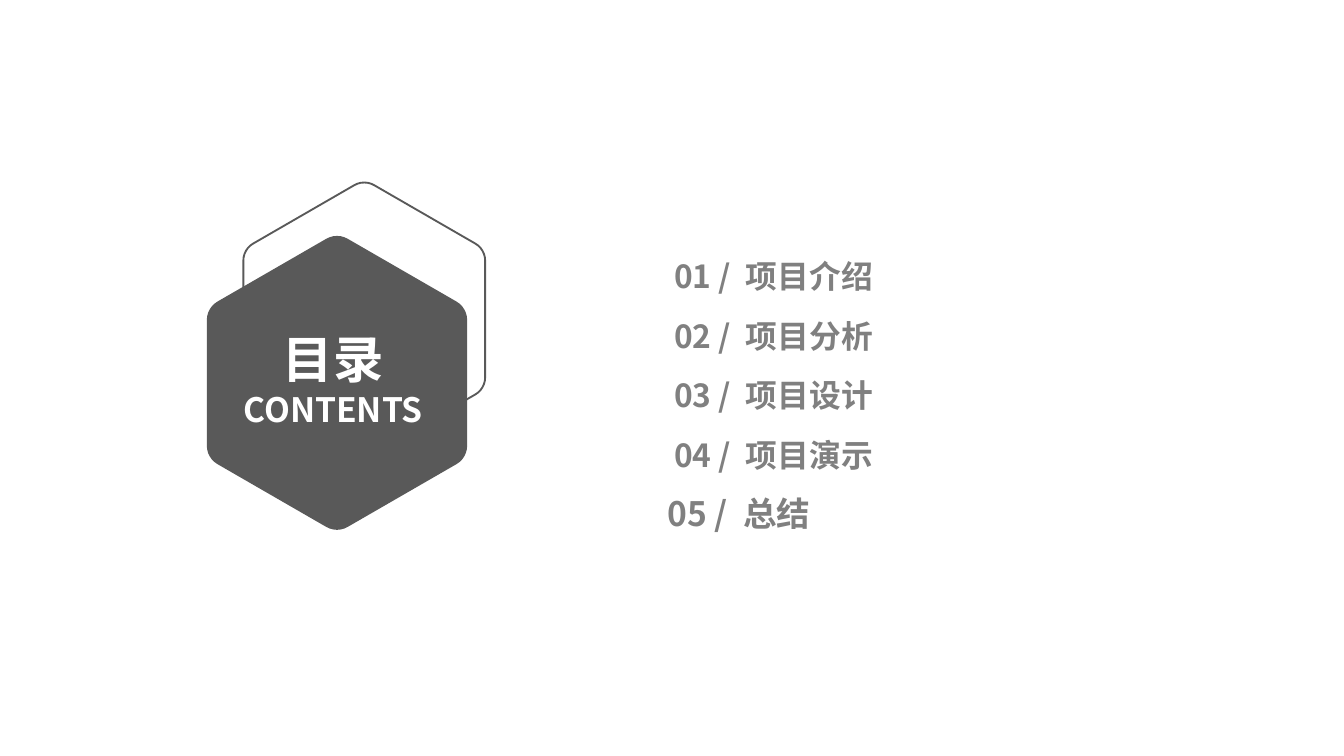
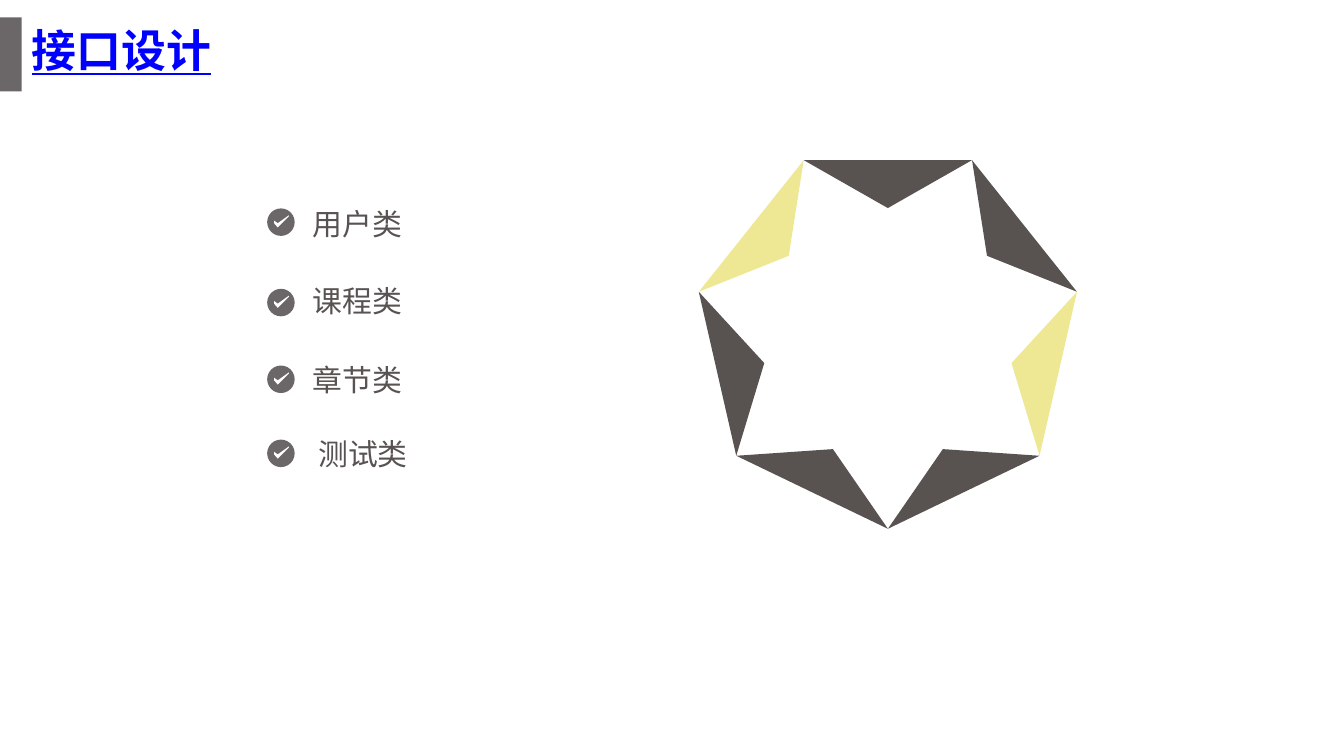
from math import cos, pi, radians, sin, sqrt

from lxml.etree import SubElement
from pptx import Presentation
from pptx.dml.color import RGBColor
from pptx.enum.shapes import MSO_SHAPE as Preset
from pptx.enum.text import MSO_AUTO_SIZE as AutoSize, PP_ALIGN as Align
from pptx.oxml.ns import qn
from pptx.util import Cm, Pt

WHITE = RGBColor(0xFF, 0xFF, 0xFF)
CHARCOAL = RGBColor(0x59, 0x59, 0x59)
GRAY = RGBColor(0x80, 0x80, 0x80)
SLATE = RGBColor(0x6B, 0x67, 0x69)
BROWN = RGBColor(0x58, 0x52, 0x51)
YELLOW = RGBColor(0xEE, 0xE8, 0x95)
BLUE = RGBColor(0x00, 0x00, 0xFF)

HEADING_FONT = "Noto Sans CJK SC"
LABEL_FONT = "Calibri"
TIGHT = (Cm(0.19), Cm(0.1))
LOOSE = (Cm(0.25), Cm(0.13))

CHAPTERS = [
    ("项目介绍", Cm(10.46)),
    ("项目分析", Cm(8.59)),
    ("项目设计", Cm(9.55)),
    ("项目演示", Cm(9.09)),
]
CLASSES = [
    ("用户类", Cm(0.18), Cm(0), Cm(0.85)),
    ("课程类", Cm(1.7), Cm(1.45), Cm(0.85)),
    ("章节类", Cm(3.15), Cm(2.95), Cm(0.85)),
    ("测试类", Cm(4.55), Cm(4.34), Cm(0.96)),
]
CHECK_MARK = [(0.13, 0.28), (0.2, 0.36), (0.41, 0.15),
              (0.41, 0.13), (0.2, 0.28), (0.13, 0.23)]


def paint(shape, fill=None, line=None):
    shape.shadow.inherit = False
    if fill is None:
        shape.fill.background()
    else:
        shape.fill.solid()
        shape.fill.fore_color.rgb = fill
    if line is None:
        shape.line.fill.background()
    else:
        shape.line.color.rgb = line
        shape.line.width = Pt(1)
    return shape


def add_outline(shapes, points, left, top, **colors):
    builder = shapes.build_freeform(*points[0])
    builder.add_line_segments(points[1:], close=True)
    return paint(builder.convert_to_shape(left, top), **colors)


def format_run(run, size, color, font=HEADING_FONT, underline=None):
    run.font.size = Pt(size)
    run.font.color.rgb = color
    run.font.name = font
    if font == HEADING_FONT:
        run.font.bold = True
        SubElement(run.font._element, qn("a:ea")).set("typeface", font)
    run.font.underline = underline


def add_text_box(slide, left, top, width, height, insets=TIGHT, wrap=True):
    text_frame = slide.shapes.add_textbox(left, top, width, height).text_frame
    text_frame.margin_left = text_frame.margin_right = insets[0]
    text_frame.margin_top = text_frame.margin_bottom = insets[1]
    text_frame.word_wrap = wrap
    text_frame.auto_size = AutoSize.SHAPE_TO_FIT_TEXT
    return text_frame


def add_hexagon(slide, left, top, width, **colors):
    radius = width * 0.082
    reach = width / sqrt(3) - radius / cos(pi / 6)
    points = []
    for corner in range(-90, 270, 60):
        for turn in range(-30, 31, 10):
            points.append((
                reach * cos(radians(corner)) + radius * cos(radians(corner + turn)),
                reach * sin(radians(corner)) + radius * sin(radians(corner + turn))))
    add_outline(slide.shapes, points, int(left + width / 2),
                int(top + reach + radius), **colors)


def add_contents_caption(slide, left, top, width, height):
    text_frame = add_text_box(slide, left, top, width, height)
    text_frame.text = "目录\nCONTENTS"
    for paragraph, size in zip(text_frame.paragraphs, (27, 18)):
        paragraph.alignment = Align.CENTER
        format_run(paragraph.runs[0], size, WHITE)


def add_chapter(text_frame, number, title, size):
    paragraph = text_frame.paragraphs[0]
    for text in (f"{number:02d} /", " ", title):
        run = paragraph.add_run()
        run.text = text
        format_run(run, size, GRAY)
    paragraph.runs[1].font._element.set("spc", "400")


def add_chapter_list(slide, left, top):
    pitch = Cm(1.13)
    for index, (title, width) in enumerate(CHAPTERS):
        text_frame = add_text_box(slide, left, top + index * pitch, width, Cm(0.91))
        add_chapter(text_frame, index + 1, title, 17)
    summary = add_text_box(slide, left - Cm(0.18), top + Cm(4.44),
                           Cm(3.43), Cm(1.02), LOOSE, False)
    add_chapter(summary, len(CHAPTERS) + 1, "总结", 18)


def add_title(slide, text, left, top):
    bar_width = Cm(0.41)
    bar = slide.shapes.add_shape(Preset.RECTANGLE, left, top, bar_width, Cm(1.4))
    paint(bar, fill=SLATE)
    text_frame = add_text_box(slide, left + bar_width, top, Cm(4.98), Cm(1.22))
    text_frame.text = text
    format_run(text_frame.paragraphs[0].runs[0], 24, BLUE, underline=True)


def add_check_badge(slide, left, top):
    shapes = slide.shapes.add_group_shape().shapes
    paint(shapes.add_shape(Preset.OVAL, left, top, Cm(0.52), Cm(0.52)), fill=SLATE)
    points = [(Cm(x), Cm(y)) for x, y in CHECK_MARK]
    add_outline(shapes, points, left, top, fill=WHITE)


def add_class_list(slide, left, top):
    for name, badge_top, label_top, indent in CLASSES:
        add_check_badge(slide, left, top + badge_top)
        text_frame = add_text_box(slide, left + Cm(0.61) + indent - Cm(0.85),
                                  top + label_top, Cm(2.24), Cm(0.94), LOOSE, False)
        text_frame.text = name
        format_run(text_frame.paragraphs[0].runs[0], 16, BROWN, LABEL_FONT)


def add_heptagon_ring(slide, center_x, center_y, side):
    shapes = slide.shapes.add_group_shape().shapes
    depth = side * 0.285
    reach = side / 2 / sin(pi / 7) * cos(pi / 7) - depth / 2
    triangle = [(-side / 2, -depth / 2), (side / 2, -depth / 2), (0, depth / 2)]
    for step in (3, 4, 5, 6, 0, 1, 2):
        angle = 2 * pi * step / 7
        blade = add_outline(shapes, triangle, int(center_x + reach * sin(angle)),
                            int(center_y - reach * cos(angle)),
                            fill=YELLOW if step in (2, 6) else BROWN)
        blade.rotation = 360 * step / 7


def build_contents_slide(slide):
    add_hexagon(slide, Cm(4.6), Cm(3.45), Cm(4.57), line=CHARCOAL)
    add_hexagon(slide, Cm(3.91), Cm(4.46), Cm(4.92), fill=CHARCOAL)
    add_contents_caption(slide, Cm(3.99), Cm(6.1), Cm(4.62), Cm(2.11))
    add_chapter_list(slide, Cm(12.55), Cm(4.75))


def build_interface_slide(slide):
    add_title(slide, "接口设计", Cm(0), Cm(0.33))
    add_class_list(slide, Cm(5.05), Cm(3.76))
    add_heptagon_ring(slide, Cm(16.78), Cm(6.33), Cm(3.18))


def main():
    presentation = Presentation()
    presentation.slide_width = Cm(25.4)
    presentation.slide_height = Cm(14.29)
    blank = presentation.slide_layouts[6]
    for build in (build_contents_slide, build_interface_slide):
        build(presentation.slides.add_slide(blank))
    presentation.save("out.pptx")


if __name__ == "__main__":
    main()
